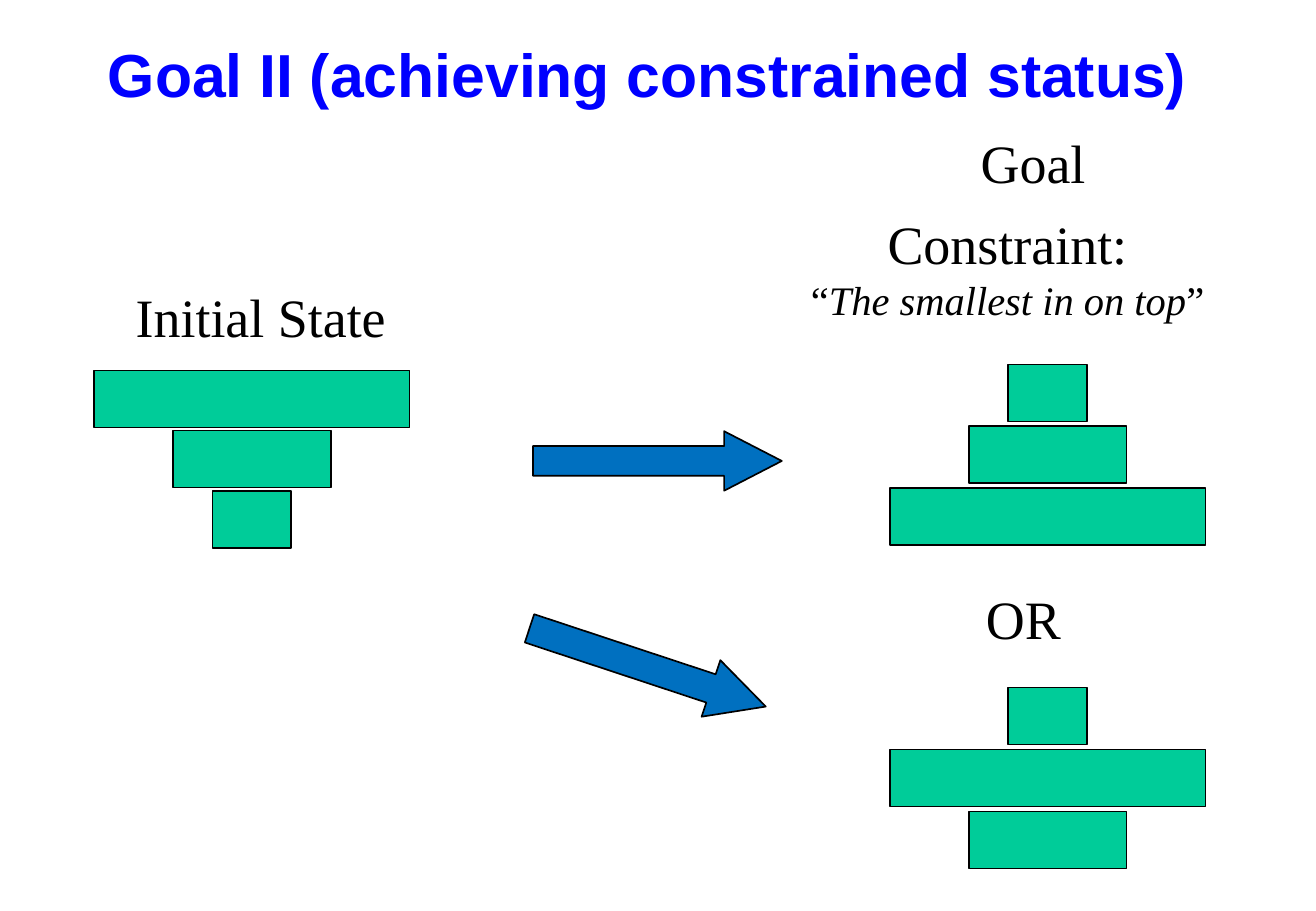
from pptx import Presentation
from pptx.dml.color import RGBColor
from pptx.enum import shapes, text
from pptx.util import Pt

GREEN = RGBColor(0x00, 0xCC, 0x99)
ARROW_BLUE = RGBColor(0x00, 0x70, 0xC0)
TITLE_BLUE = RGBColor(0x00, 0x00, 0xFF)
BLACK = RGBColor(0x00, 0x00, 0x00)

LARGE, MEDIUM, SMALL = 187.2, 93.6, 46.8
BLOCK_HEIGHT = 33.84

deck = Presentation()
deck.slide_width, deck.slide_height = Pt(780.48), Pt(540)
page = deck.slides.add_slide(deck.slide_layouts[5])


def add_solid(kind, left, top, width, height, color):
    shape = page.shapes.add_shape(kind, Pt(left), Pt(top), Pt(width), Pt(height))
    shape.shadow.inherit = False
    shape.fill.solid()
    shape.fill.fore_color.rgb = color
    shape.line.color.rgb = BLACK
    shape.line.width = Pt(1)
    return shape


def format_text(box, font_name, color, sizes, bold=False):
    frame = box.text_frame
    frame.word_wrap = True
    frame.auto_size = text.MSO_AUTO_SIZE.NONE
    frame.vertical_anchor = text.MSO_ANCHOR.MIDDLE
    for para, size in zip(frame.paragraphs, sizes):
        para.alignment = text.PP_ALIGN.CENTER
        for span in para.runs:
            span.font.name = font_name
            span.font.size = Pt(size)
            span.font.bold = bold
            span.font.color.rgb = color


# Title
title = page.shapes.title
title.left, title.top, title.width, title.height = Pt(38.16), Pt(13.68), Pt(691.92), Pt(59.76)
title.text_frame.text = "Goal II (achieving constrained status)"
format_text(title, "Arial", TITLE_BLUE, [36], bold=True)

# Stacks of blocks, listed from top to bottom around a centre line
stacks = [
    (149.4, 219.6, 35.64, [LARGE, MEDIUM, SMALL]),   # initial state
    (621.36, 216, 36.72, [SMALL, MEDIUM, LARGE]),    # first goal
    (621.36, 407.52, 36.72, [SMALL, LARGE, MEDIUM]), # second goal
]
for center, top, pitch, widths in stacks:
    for row, width in enumerate(widths):
        add_solid(shapes.MSO_SHAPE.RECTANGLE, center - width / 2, top + row * pitch,
                  width, BLOCK_HEIGHT, GREEN)

# Arrows from the initial state to both goals
for left, top, angle in [(316.08, 255.6, 0), (310.32, 378, 18.3)]:
    arrow = add_solid(shapes.MSO_SHAPE.RIGHT_ARROW, left, top, 147.6, 35.28, ARROW_BLUE)
    arrow.adjustments[0] = 0.5
    arrow.adjustments[1] = 0.97
    arrow.rotation = angle

# Labels
labels = [
    ("Initial State", 61.2, 164.16, 187.2, 46.08),
    ("Goal", 519.12, 72.72, 187.2, 46.08),
    ("Constraint:", 424.8, 120.96, 345.6, 74.88),
    ("OR", 434.16, 343.44, 345.6, 46.08),
]
for wording, left, top, width, height in labels:
    box = page.shapes.add_textbox(Pt(left), Pt(top), Pt(width), Pt(height))
    box.text_frame.text = wording
    if wording == "Constraint:":
        quote = box.text_frame.add_paragraph()
        for part in ["“", "The smallest in on top", "”"]:
            span = quote.add_run()
            span.text = part
            span.font.italic = len(part) > 1
    format_text(box, "Times New Roman", BLACK, [32, 24])

deck.save("out.pptx")
